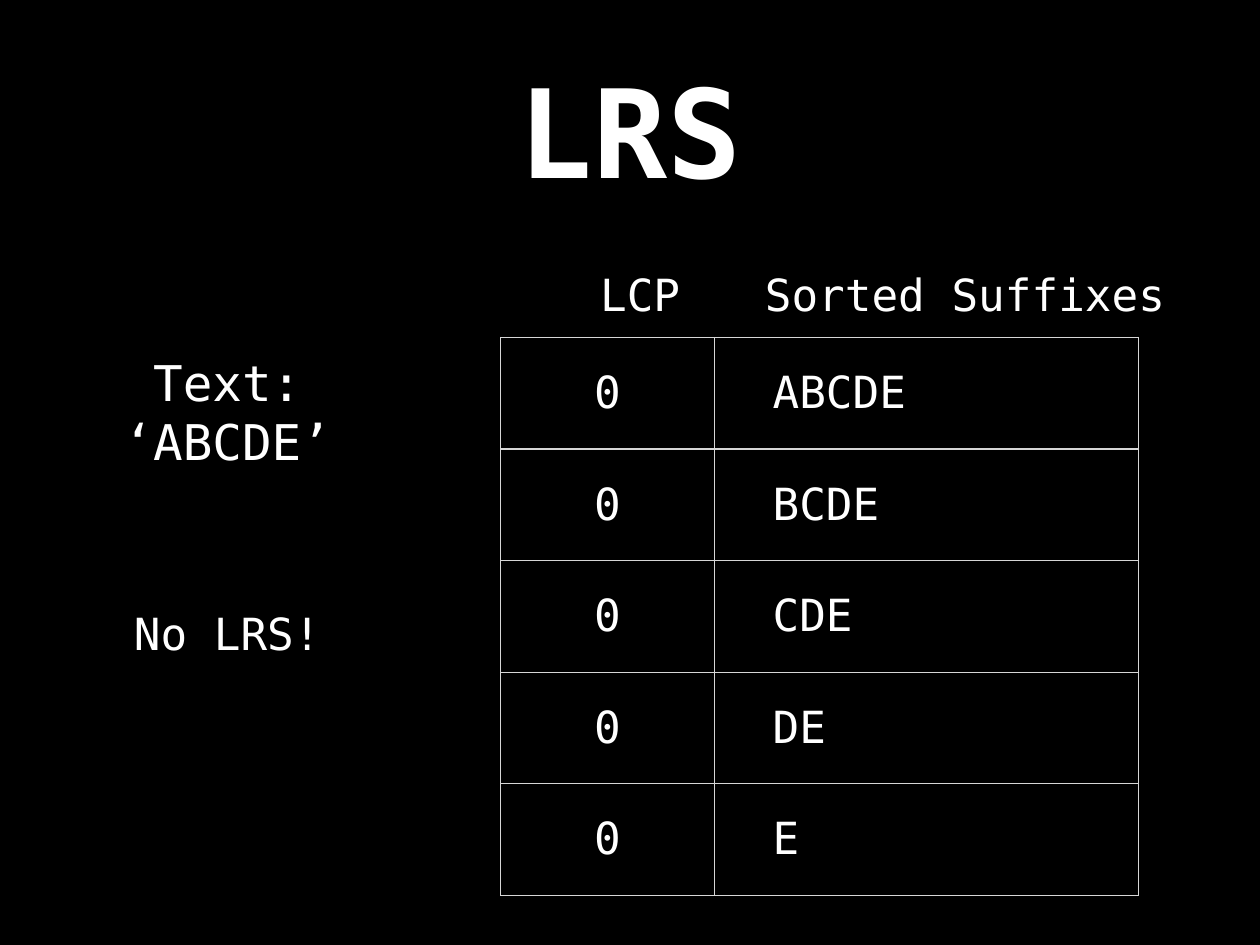
from dataclasses import dataclass

import lxml.etree
import pptx
import pptx.dml.color
import pptx.enum.text
import pptx.oxml.ns
import pptx.slide
import pptx.table
import pptx.text.text
import pptx.util

Inches = pptx.util.Inches
Align = pptx.enum.text.PP_ALIGN
Anchor = pptx.enum.text.MSO_ANCHOR


@dataclass(frozen=True)
class Theme:
    font: str = "DejaVu Sans Mono"
    background: str = "000000"
    text: str = "FFFFFF"
    border: str = "D6D6D6"
    title_size: int = 100
    example_size: int = 40
    body_size: int = 36
    border_width: int = 1
    inset: float = 0.06
    suffix_indent: float = 0.66


THEME = Theme()


@dataclass(frozen=True)
class Label:
    lines: tuple[str, ...]
    left: float
    top: float
    width: float
    height: float
    size: int = THEME.body_size
    bold: bool = False
    wrap: bool = False


@dataclass(frozen=True)
class SuffixRow:
    common_prefix: int
    suffix: str


LABELS = (
    Label(("LRS",), 1.04, 0.28, 12.14, 2.36, THEME.title_size, bold=True, wrap=True),
    Label(("Sorted Suffixes",), 8.57, 2.98, 4.64, 0.68),
    Label(("LCP",), 6.71, 2.98, 1.03, 0.68),
    Label(("Text:", "‘ABCDE’"), 1.33, 3.95, 2.47, 1.39, THEME.example_size),
    Label(("No LRS!",), 1.45, 6.81, 2.23, 0.68),
)
WORD = "ABCDE"
SUFFIX_ROWS = tuple(SuffixRow(0, WORD[start:]) for start in range(len(WORD)))
TABLE_LEFT, TABLE_TOP = 5.65, 3.81
COLUMN_WIDTHS = (2.41, 4.79)
ROW_HEIGHT = 1.26


def write_line(
    paragraph: pptx.text.text._Paragraph,
    text: str,
    size: int,
    alignment: Align = Align.CENTER,
    bold: bool = False,
) -> None:
    paragraph.alignment = alignment
    run = paragraph.add_run()
    run.text = text
    run.font.name = THEME.font
    run.font.size = pptx.util.Pt(size)
    run.font.bold = bold
    run.font.color.rgb = pptx.dml.color.RGBColor.from_string(THEME.text)


def set_margins(holder: pptx.text.text.TextFrame | pptx.table._Cell) -> None:
    holder.margin_left = holder.margin_right = Inches(THEME.inset)
    holder.margin_top = holder.margin_bottom = Inches(THEME.inset)
    holder.vertical_anchor = Anchor.MIDDLE


def add_label(slide: pptx.slide.Slide, label: Label) -> None:
    shape = slide.shapes.add_textbox(
        Inches(label.left), Inches(label.top), Inches(label.width), Inches(label.height)
    )
    frame = shape.text_frame
    frame.word_wrap = label.wrap
    set_margins(frame)
    for index, line in enumerate(label.lines):
        paragraph = frame.add_paragraph() if index else frame.paragraphs[0]
        write_line(paragraph, line, label.size, bold=label.bold)


def add_borders(cell: pptx.table._Cell) -> None:
    qualified = pptx.oxml.ns.qn
    properties = cell._tc.get_or_add_tcPr()
    for side in ("a:lnL", "a:lnR", "a:lnT", "a:lnB"):
        border = lxml.etree.SubElement(properties, qualified(side))
        border.set("w", str(pptx.util.Pt(THEME.border_width)))
        fill = lxml.etree.SubElement(border, qualified("a:solidFill"))
        lxml.etree.SubElement(fill, qualified("a:srgbClr")).set("val", THEME.border)


def add_suffix_table(slide: pptx.slide.Slide) -> None:
    table = slide.shapes.add_table(
        len(SUFFIX_ROWS),
        len(COLUMN_WIDTHS),
        Inches(TABLE_LEFT),
        Inches(TABLE_TOP),
        Inches(sum(COLUMN_WIDTHS)),
        Inches(ROW_HEIGHT * len(SUFFIX_ROWS)),
    ).table
    table.first_row = table.horz_banding = False
    for column, width in zip(table.columns, COLUMN_WIDTHS):
        column.width = Inches(width)
    for row, entry in zip(table.rows, SUFFIX_ROWS):
        row.height = Inches(ROW_HEIGHT)
        prefix_cell, suffix_cell = row.cells
        for cell in (prefix_cell, suffix_cell):
            add_borders(cell)
            cell.fill.background()
            set_margins(cell)
        suffix_cell.margin_left = Inches(THEME.suffix_indent)
        write_line(
            prefix_cell.text_frame.paragraphs[0], str(entry.common_prefix), THEME.body_size
        )
        write_line(
            suffix_cell.text_frame.paragraphs[0], entry.suffix, THEME.body_size, Align.LEFT
        )


def main() -> None:
    presentation = pptx.Presentation()
    presentation.slide_width = Inches(14.22)
    presentation.slide_height = Inches(10.67)
    slide = presentation.slides.add_slide(presentation.slide_layouts[6])
    background = slide.background.fill
    background.solid()
    background.fore_color.rgb = pptx.dml.color.RGBColor.from_string(THEME.background)
    add_suffix_table(slide)
    for label in LABELS:
        add_label(slide, label)
    presentation.save("out.pptx")


if __name__ == "__main__":
    main()
